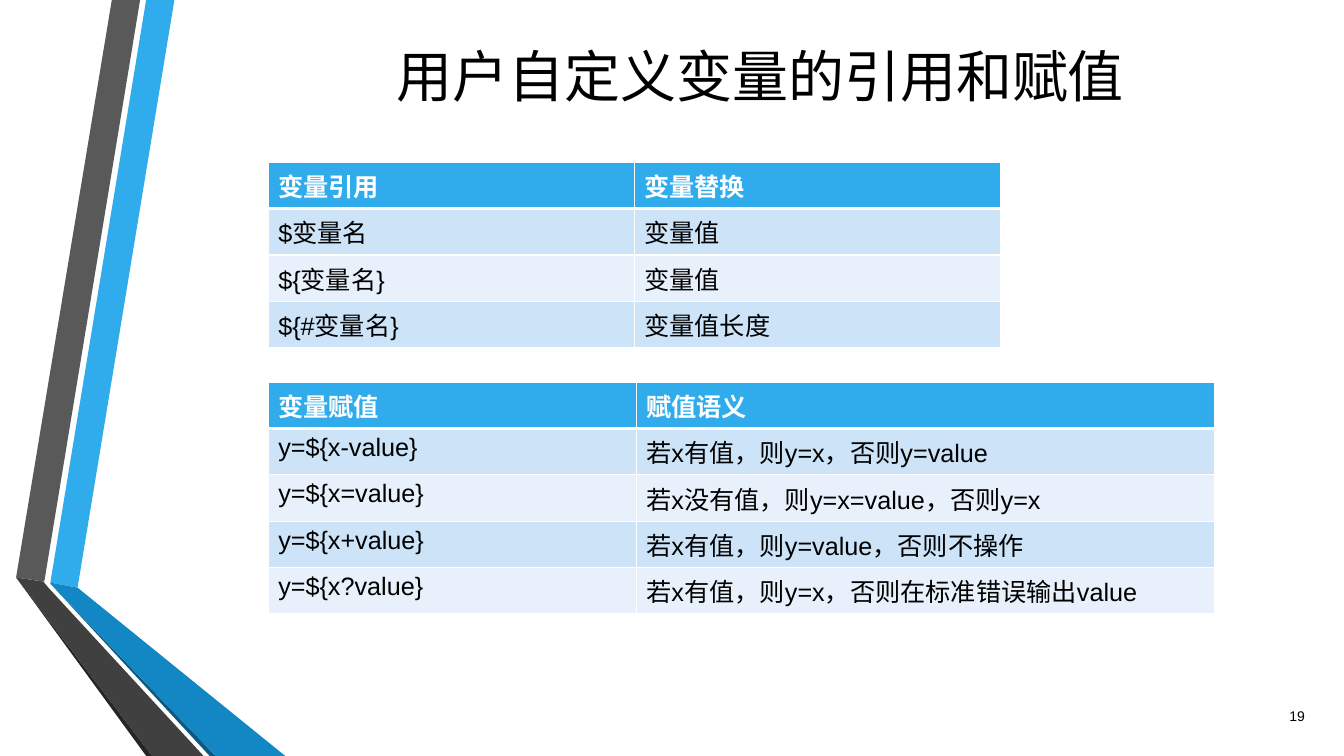
"""Build the slide on referencing and assigning user-defined variables."""
import pptx
import pptx.dml.color
import pptx.enum.text
import pptx.oxml
import pptx.oxml.ns
import pptx.util

TITLE = "用户自定义变量的引用和赋值"
PAGE = "19"
REFERENCES = [
    ("变量引用", "变量替换"),
    ("$变量名", "变量值"),
    ("${变量名}", "变量值"),
    ("${#变量名}", "变量值长度"),
]
ASSIGNMENTS = [
    ("变量赋值", "赋值语义"),
    ("y=${x-value}", "若x有值\uff0c则y=x\uff0c否则y=value"),
    ("y=${x=value}", "若x没有值\uff0c则y=x=value\uff0c否则y=x"),
    ("y=${x+value}", "若x有值\uff0c则y=value\uff0c否则不操作"),
    ("y=${x?value}", "若x有值\uff0c则y=x\uff0c否则在标准错误输出value"),
]
TABLES = [(REFERENCES, 1.61, (3.63, 3.63)), (ASSIGNMENTS, 3.79, (3.65, 5.74))]
WIDTH, HEIGHT = 13.33, 7.5
TABLE_LEFT, ROW_HEIGHT = 2.66, 0.46
FONT, BLACK, WHITE, BLUE = "Arial", "000000", "FFFFFF", "30ACEC"
BANDS = ("E8F1FB", "CDE3F8")
RIBBONS = [
    (BLUE, [(0.5, 5.78), (0.77, 5.83), (1.73, 0), (1.45, 0)]),
    ("595959", [(1.39, 0), (1.11, 0), (0.16, 5.73), (0.44, 5.77)]),
    ("262626", [(0.16, 5.73), (1.45, HEIGHT), (1.51, HEIGHT)]),
    ("0C5A82", [(0.5, 5.79), (2.08, HEIGHT), (2.14, HEIGHT)]),
    ("1287C3", [(0.5, 5.78), (0.5, 5.79), (2.14, HEIGHT), (2.83, HEIGHT), (0.77, 5.83)]),
    ("404040", [(2.02, HEIGHT), (0.48, 5.83), (0.43, 5.77), (0.16, 5.73), (1.51, HEIGHT)]),
]
ALIGN = pptx.enum.text.PP_ALIGN
inches = pptx.util.Inches


def paint(fill, color):
    fill.solid()
    fill.fore_color.rgb = pptx.dml.color.RGBColor.from_string(color)


def write(tf, text, size=18, color=BLACK, bold=False, align=ALIGN.LEFT):
    p = tf.paragraphs[0]
    p.alignment = align
    r = p.add_run()
    r.text = text
    r.font.name, r.font.size, r.font.bold = FONT, pptx.util.Pt(size), bold
    paint(r.font.fill, color)


def add_text(shapes, box, text, **style):
    tf = shapes.add_textbox(*map(inches, box)).text_frame
    tf.word_wrap = True
    tf.vertical_anchor = pptx.enum.text.MSO_ANCHOR.MIDDLE
    write(tf, text, **style)


def add_ribbon(shapes, color, points):
    points = [(inches(x), inches(y)) for x, y in points]
    builder = shapes.build_freeform(*points[0])
    builder.add_line_segments(points[1:], close=True)
    sp = builder.convert_to_shape()
    sp.shadow.inherit = False
    paint(sp.fill, color)
    sp.line.fill.background()


def set_borders(cell, **widths):
    tc_pr = cell._tc.get_or_add_tcPr()
    for i, side in enumerate("LRTB"):
        tc_pr.insert(i, pptx.oxml.parse_xml(
            f'<a:ln{side} {pptx.oxml.ns.nsdecls("a")} w="{pptx.util.Pt(widths.get(side, 1))}">'
            f'<a:solidFill><a:srgbClr val="{WHITE}"/></a:solidFill></a:ln{side}>'))


def add_table(shapes, rows, top, columns):
    box = (TABLE_LEFT, top, sum(columns), ROW_HEIGHT * len(rows))
    table = shapes.add_table(len(rows), len(columns), *map(inches, box)).table
    for column, width in zip(table.columns, columns):
        column.width = inches(width)
    for i, row in enumerate(rows):
        table.rows[i].height = inches(ROW_HEIGHT)
        header = i == 0
        for j, text in enumerate(row):
            cell = table.cell(i, j)
            write(cell.text_frame, text, color=WHITE if header else BLACK, bold=header)
            paint(cell.fill, BLUE if header else BANDS[i % 2])
            set_borders(cell, B=3 if header else 1, T=3 if i == 1 else 1)


prs = pptx.Presentation()
prs.slide_width, prs.slide_height = inches(WIDTH), inches(HEIGHT)
s = prs.slides.add_slide(prs.slide_layouts[6])
group = s.shapes.add_group_shape()
for color, points in RIBBONS:
    add_ribbon(group.shapes, color, points)
add_text(s.shapes, (2.03, 0.26, 11.02, 0.98), TITLE, size=40, align=ALIGN.CENTER)
add_text(s.shapes, (12.44, 6.9, 0.6, 0.4), PAGE, size=10, align=ALIGN.RIGHT)
for rows, top, columns in TABLES:
    add_table(s.shapes, rows, top, columns)
prs.save("out.pptx")
